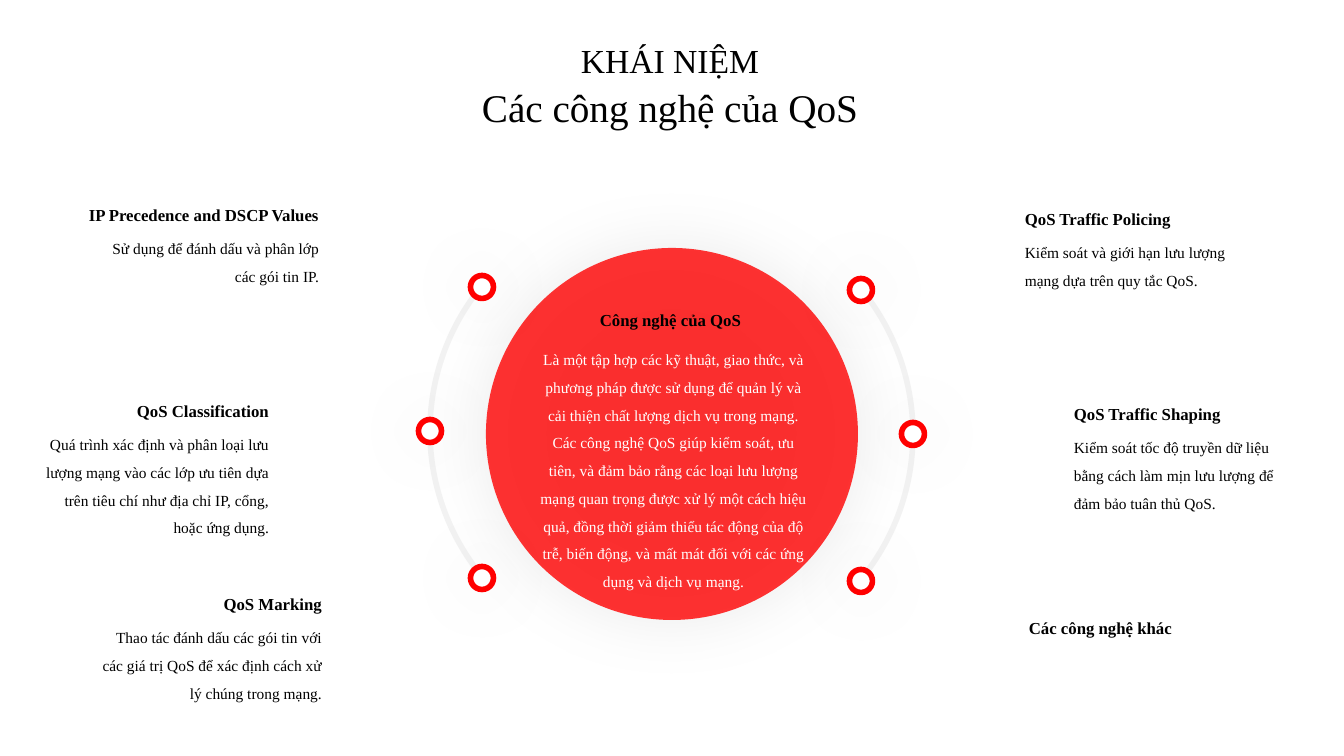
from lxml import etree
from pptx import Presentation
from pptx.dml.color import RGBColor
from pptx.enum.shapes import MSO_SHAPE
from pptx.enum.text import MSO_ANCHOR, MSO_AUTO_SIZE, PP_ALIGN
from pptx.oxml import parse_xml
from pptx.oxml.ns import nsdecls, qn
from pptx.util import Emu, Pt

SLIDE_W, SLIDE_H = 1344, 756
EMU_PER_PX = 12192000 / SLIDE_W
FONT = "Times New Roman"
RED, BLACK, WHITE, GREY = "FF0000", "000000", "FFFFFF", "F2F2F2"

KICKER = ("KHÁI NIỆM", (570, 35, 200, 50))
TITLE = ("Các công nghệ của QoS", (408, 78, 524, 57))
CORE = (486, 248, 372, 372)
CORE_HEADING = ("Công nghệ của QoS", (525, 295, 291, 37))
CORE_BODY = (
    "Là một tập hợp các kỹ thuật, giao thức, và phương pháp được sử dụng để quản lý và "
    "cải thiện chất lượng dịch vụ trong mạng. Các công nghệ QoS giúp kiểm soát, ưu tiên, "
    "và đảm bảo rằng các loại lưu lượng mạng quan trọng được xử lý một cách hiệu quả, "
    "đồng thời giảm thiểu tác động của độ trễ, biến động, và mất mát đối với các ứng dụng "
    "và dịch vụ mạng.",
    (528, 336, 291, 262),
)

# inner edge x, top, heading, body, body lines
LEFT_ITEMS = [
    (329, 190, "IP Precedence and DSCP Values",
     "Sử dụng để đánh dấu và phân lớp các gói tin IP.", 2),
    (279, 386, "QoS Classification",
     "Quá trình xác định và phân loại lưu lượng mạng vào các lớp ưu tiên dựa trên "
     "tiêu chí như địa chỉ IP, cổng, hoặc ứng dụng.", 4),
    (332, 579, "QoS Marking",
     "Thao tác đánh dấu các gói tin với các giá trị QoS để xác định cách xử lý "
     "chúng trong mạng.", 3),
]
RIGHT_ITEMS = [
    (1015, 194, "QoS Traffic Policing",
     "Kiểm soát và giới hạn lưu lượng mạng dựa trên quy tắc QoS.", 2),
    (1064, 389, "QoS Traffic Shaping",
     "Kiểm soát tốc độ truyền dữ liệu bằng cách làm mịn lưu lượng để đảm bảo "
     "tuân thủ QoS.", 3),
    (1019, 603, "Các công nghệ khác", None, 0),
]
HEADING_W, BODY_W, HEADING_H, BODY_DROP = 269, 245, 37, 35

# centre x, centre y, side, start and end angle in degrees
ARCS = [(684, 434, 1, 317.69, 41.53), (659, 431, -1, 138.47, 222.31)]
ARC_RADIUS, MARKER = 229, 23
MARKER_OFFSETS = [(229, 0), (177, 147), (177, -144)]


def color(hex_text):
    return RGBColor.from_string(hex_text)


def emu(box):
    return [Emu(round(v * EMU_PER_PX)) for v in box]


def write(shape, text, size, ink=BLACK, bold=False, align=PP_ALIGN.LEFT, spacing=None):
    frame = shape.text_frame
    frame.text = text
    frame.word_wrap = True
    frame.auto_size = MSO_AUTO_SIZE.NONE
    frame.vertical_anchor = MSO_ANCHOR.TOP
    paragraph = frame.paragraphs[0]
    paragraph.alignment = align
    paragraph.line_spacing = spacing
    font = paragraph.runs[0].font
    font.name, font.size, font.bold = FONT, Pt(size), bold
    font.color.rgb = color(ink)


def add_text(slide, box, text, size, **style):
    write(slide.shapes.add_textbox(*emu(box)), text, size, **style)


def add_circle(slide, box, fill, alpha=None, outline=None):
    """Circle with a soft glow-like shadow all around it."""
    circle = slide.shapes.add_shape(MSO_SHAPE.OVAL, *emu(box))
    circle.fill.solid()
    circle.fill.fore_color.rgb = color(fill)
    properties = circle._element.spPr
    if alpha:
        tint = properties.find(qn("a:solidFill")).find(qn("a:srgbClr"))
        etree.SubElement(tint, qn("a:alpha")).set("val", str(alpha * 1000))
    if outline:
        circle.line.color.rgb = color(outline)
        circle.line.width = Pt(4)
    else:
        circle.line.fill.background()
    properties.append(parse_xml(
        f'<a:effectLst {nsdecls("a")}><a:outerShdw blurRad="{Pt(50)}" dist="0" dir="0" '
        f'algn="ctr" rotWithShape="0"><a:srgbClr val="{BLACK}"><a:alpha val="10000"/>'
        '</a:srgbClr></a:outerShdw></a:effectLst>'))


def add_arc(slide, cx, cy, start, end):
    box = (cx - ARC_RADIUS, cy - ARC_RADIUS, 2 * ARC_RADIUS, 2 * ARC_RADIUS)
    arc = slide.shapes.add_shape(MSO_SHAPE.ARC, *emu(box))
    # arc angles are 60000ths of a degree, adjustments are 100000ths
    arc.adjustments[0], arc.adjustments[1] = start * 0.6, end * 0.6
    arc.shadow.inherit = False
    arc.fill.background()
    arc.line.color.rgb = color(GREY)
    arc.line.width = Pt(4)


def add_items(slide, items, align):
    for edge, top, heading, body, lines in items:
        parts = [(heading, top, HEADING_W, HEADING_H, 12, True)]
        if body:
            parts.append((body, top + BODY_DROP, BODY_W, 30 * lines + 3, 11, False))
        for text, y, width, height, size, bold in parts:
            x = edge - width if align == PP_ALIGN.RIGHT else edge
            add_text(slide, (x, y, width, height), text, size,
                     bold=bold, align=align, spacing=1.5)


def main():
    deck = Presentation()
    deck.slide_width, deck.slide_height = emu((SLIDE_W, SLIDE_H))
    slide = deck.slides.add_slide(deck.slide_layouts[5])

    title_text, title_box = TITLE
    title = slide.shapes.title
    title.left, title.top, title.width, title.height = emu(title_box)
    write(title, title_text, 28, align=PP_ALIGN.CENTER)
    kicker_text, kicker_box = KICKER
    add_text(slide, kicker_box, kicker_text, 24, align=PP_ALIGN.CENTER)

    add_circle(slide, CORE, RED, alpha=80)
    for (text, box), size, ink, bold in [(CORE_BODY, 11, WHITE, False),
                                         (CORE_HEADING, 12, BLACK, True)]:
        add_text(slide, box, text, size, ink=ink, bold=bold,
                 align=PP_ALIGN.CENTER, spacing=1.5)

    for cx, cy, side, start, end in ARCS:
        add_arc(slide, cx, cy, start, end)
        for dx, dy in MARKER_OFFSETS:
            box = (cx + side * dx - MARKER / 2, cy + dy - MARKER / 2, MARKER, MARKER)
            add_circle(slide, box, WHITE, outline=RED)

    add_items(slide, LEFT_ITEMS, PP_ALIGN.RIGHT)
    add_items(slide, RIGHT_ITEMS, PP_ALIGN.LEFT)
    deck.save("out.pptx")


if __name__ == "__main__":
    main()
